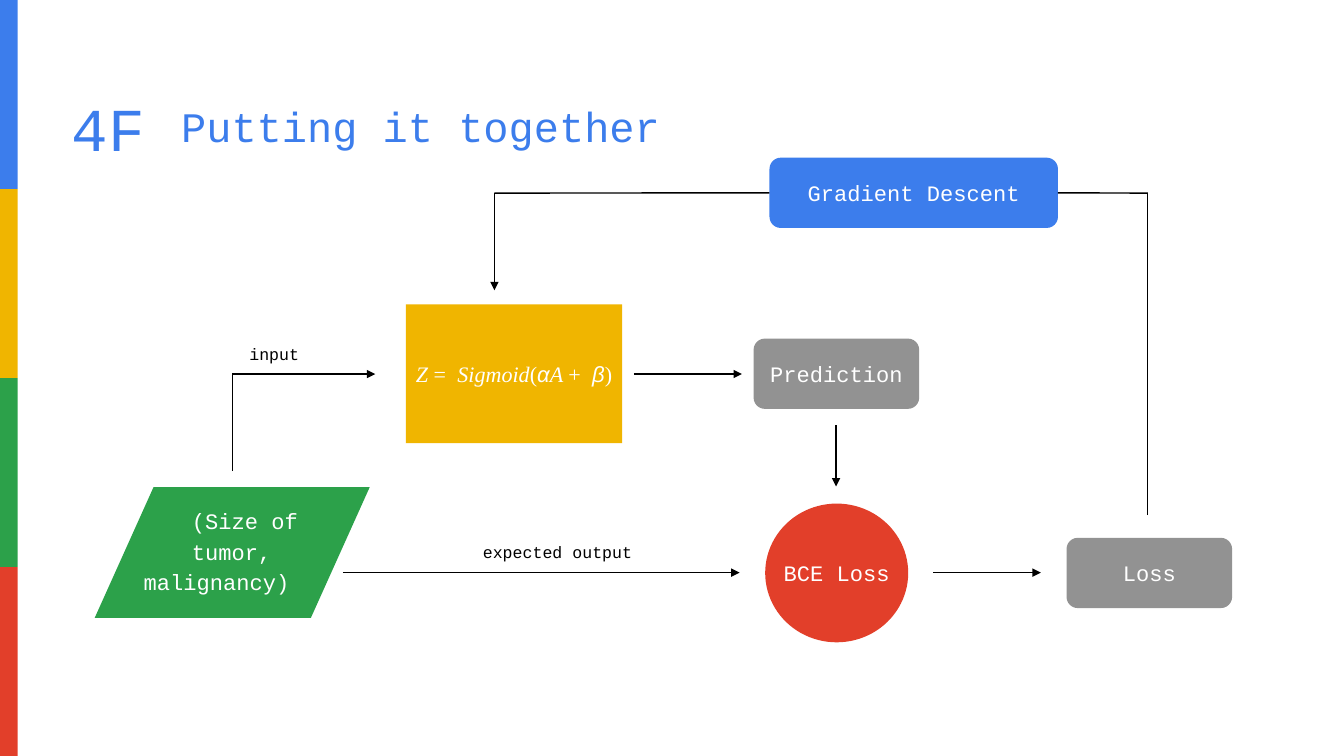
from lxml import etree
from pptx import Presentation
from pptx.dml.color import RGBColor
from pptx.enum import shapes, text
from pptx.oxml import ns
from pptx.util import Inches, Pt

COLORS = {
    "blue": "3C7DEC", "yellow": "F0B500", "green": "2CA14A", "red": "E23F2A",
    "gray": "929292", "black": "000000", "white": "FFFFFF",
}
MONO, SERIF, SANS = "Courier New", "Times New Roman", "Arial"
SHAPE = shapes.MSO_SHAPE


def rgb(name):
    return RGBColor.from_string(COLORS[name])


def style(paragraph, size, color, font=MONO):
    paragraph.font.name = font
    paragraph.font.size = Pt(size)
    paragraph.font.color.rgb = rgb(color)


def clear_margins(frame):
    frame.margin_left = frame.margin_right = frame.margin_top = frame.margin_bottom = 0


def add_filled(slide, kind, color, box):
    shape = slide.shapes.add_shape(kind, *map(Inches, box))
    shape.shadow.inherit = False
    shape.fill.solid()
    shape.fill.fore_color.rgb = rgb(color)
    shape.line.fill.background()
    return shape


def add_node(slide, kind, color, box, label=""):
    """Draw a filled step with a centred label."""
    shape = add_filled(slide, kind, color, box)
    if kind == SHAPE.ROUNDED_RECTANGLE:
        shape.adjustments[0] = 0.16
    frame = shape.text_frame
    clear_margins(frame)
    frame.word_wrap = False
    frame.vertical_anchor = text.MSO_ANCHOR.MIDDLE
    paragraph = frame.paragraphs[0]
    paragraph.alignment = text.PP_ALIGN.CENTER
    paragraph.text = label
    paragraph.space_before = Pt(2)
    style(paragraph, 26, "white")
    return shape


def add_text_box(slide, box, label, size, color):
    frame = slide.shapes.add_textbox(*map(Inches, box)).text_frame
    clear_margins(frame)
    frame.word_wrap = True
    paragraph = frame.paragraphs[0]
    paragraph.text = label
    paragraph.space_before = Pt(1)
    style(paragraph, size, color)
    return frame


def add_line(slide, start, end, arrow=True):
    line = slide.shapes.add_connector(
        shapes.MSO_CONNECTOR.STRAIGHT, *map(Inches, (*start, *end)))
    line.line.color.rgb = rgb("black")
    line.line.width = Pt(1.65)
    if arrow:
        etree.SubElement(line.line._get_or_add_ln(), ns.qn("a:tailEnd"),
                         type="triangle", w="lg", len="lg")
    etree.SubElement(line._element.spPr, ns.qn("a:effectLst"))
    return line


def add_sidebar(slide, left, top, width, height):
    bar_height = height / 4
    for index, color in enumerate(("blue", "yellow", "green", "red")):
        add_filled(slide, SHAPE.RECTANGLE, color,
                   (left, top + index * bar_height, width, bar_height))


def add_title(slide, left, top, width, height):
    frame = add_text_box(slide, (left, top, width, height), "", 49.5, "blue")
    paragraph = frame.paragraphs[0]
    number = paragraph.add_run()
    number.text = "4F "
    number.font.size = Pt(123.8)
    number._r.get_or_add_rPr().set("baseline", "-8000")
    paragraph.add_run().text = "Putting it together"


def add_equation(shape):
    paragraph = shape.text_frame.paragraphs[0]
    style(paragraph, 26, "white", SERIF)
    for part, font, italic, spacing in (
            ("Z ", SERIF, True, 0), ("= ", SERIF, False, 340),
            ("Sigmoid", SERIF, True, 0), ("(", SERIF, False, 0),
            ("α", SANS, True, 0), ("A ", SERIF, True, 0),
            ("+ ", SERIF, False, 340), ("β", SANS, True, 0),
            (")", SERIF, False, 0)):
        run = paragraph.add_run()
        run.text = part
        run.font.name = font
        run.font.italic = italic
        run._r.get_or_add_rPr().set("spc", str(spacing))


def add_data_label(slide, box):
    frame = add_text_box(slide, box, "(Size of tumor,", 26, "white")
    size = frame.paragraphs[0]
    size.line_spacing = 1.14
    size._p.get_or_add_pPr().set("marL", str(Inches(0.79)))
    malignancy = frame.add_paragraph()
    malignancy.text = "malignancy)"
    malignancy.space_before = Pt(4.2)
    style(malignancy, 26, "white")


def add_training_loop(slide, left, top):
    """Draw the flow from data to loss and back through gradient descent."""
    def at(x, y, *size):
        return (left + x, top + y, *size)

    descent_y, model_y, loss_y = 0.58, 3.54, 6.79
    input_x, update_x, prediction_x, feedback_x = 2.25, 6.54, 12.13, 17.23

    model = add_node(slide, SHAPE.RECTANGLE, "yellow", at(5.09, 2.4, 3.54, 2.27))
    add_equation(model)
    data = add_node(slide, SHAPE.PARALLELOGRAM, "green", at(0, 5.39, 4.5, 2.14))
    data.adjustments[0] = 0.45
    add_data_label(slide, at(0.8, 5.67, 2.56, 1.51))
    add_node(slide, SHAPE.OVAL, "red", at(10.97, 5.66, 2.34, 2.27), "BCE Loss")
    rounded = SHAPE.ROUNDED_RECTANGLE
    add_node(slide, rounded, "gray", at(10.78, 2.96, 2.71, 1.15), "Prediction")
    add_node(slide, rounded, "gray", at(15.9, 6.22, 2.71, 1.15), "Loss")
    descent = add_node(slide, rounded, "blue", at(11.04, 0, 4.72, 1.15),
                       "Gradient Descent")

    for start, end, arrow in (
            ((input_x, 5.13), (input_x, model_y), False),
            ((input_x, model_y), (4.59, model_y), True),
            ((8.82, model_y), (10.59, model_y), True),
            ((prediction_x, 4.38), (prediction_x, 5.38), True),
            ((4.06, loss_y), (10.55, loss_y), True),
            ((13.72, loss_y), (15.48, loss_y), True),
            ((feedback_x, 5.85), (feedback_x, descent_y), False),
            ((update_x, descent_y), (update_x, 2.17), True)):
        add_line(slide, at(*start), at(*end), arrow)
    for corner_x, side_x, site in ((feedback_x, 15.76, 3), (update_x, 11.04, 1)):
        line = add_line(slide, at(corner_x, descent_y), at(side_x, descent_y), False)
        line.end_connect(descent, site)

    add_text_box(slide, at(2.53, 3.04, 1, 0.36), "input", 19.5, "black")
    add_text_box(slide, at(6.35, 6.28, 2.7, 0.36), "expected output", 19.5, "black")


def main():
    presentation = Presentation()
    presentation.slide_width = Inches(21.99)
    presentation.slide_height = Inches(12.37)
    slide = presentation.slides.add_slide(presentation.slide_layouts[6])
    add_sidebar(slide, 0, 0, 0.29, 12.37)
    add_title(slide, 1.17, 0.62, 9.81, 1.4)
    add_training_loop(slide, 1.55, 2.58)
    presentation.save("out.pptx")


if __name__ == "__main__":
    main()
